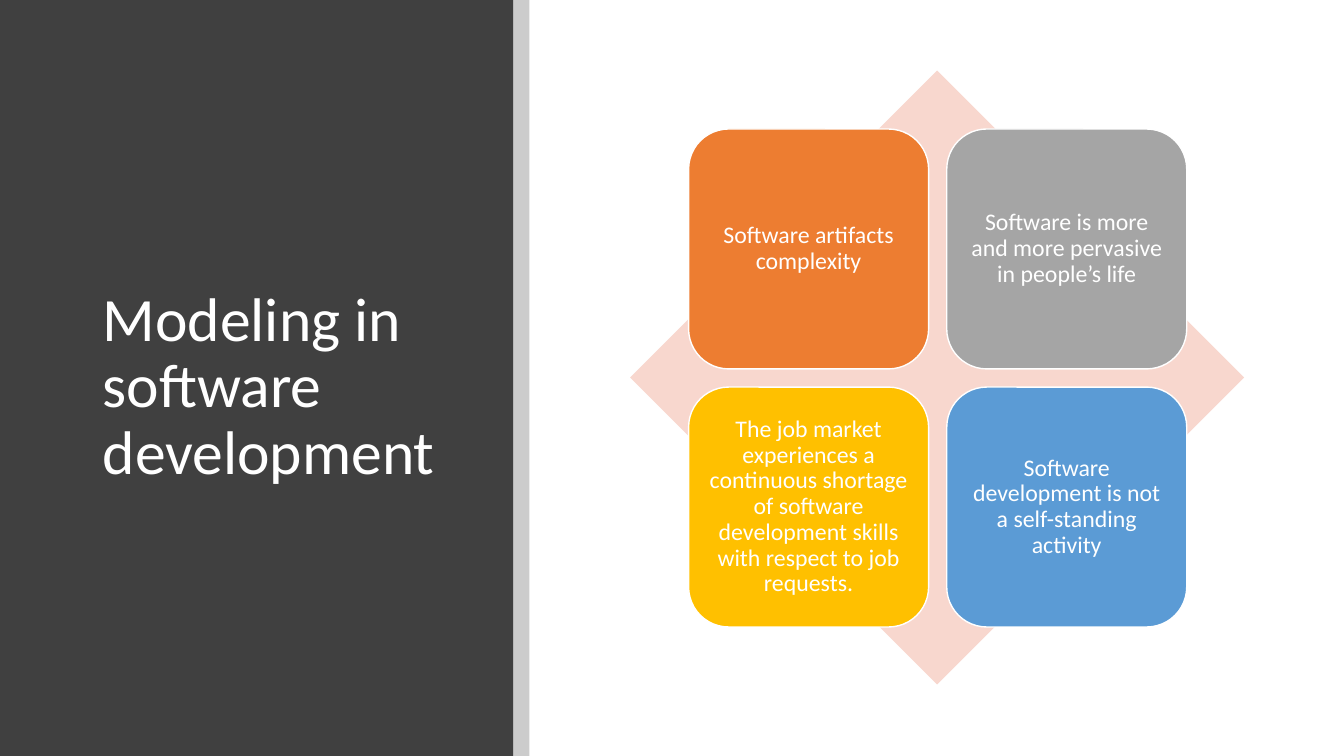
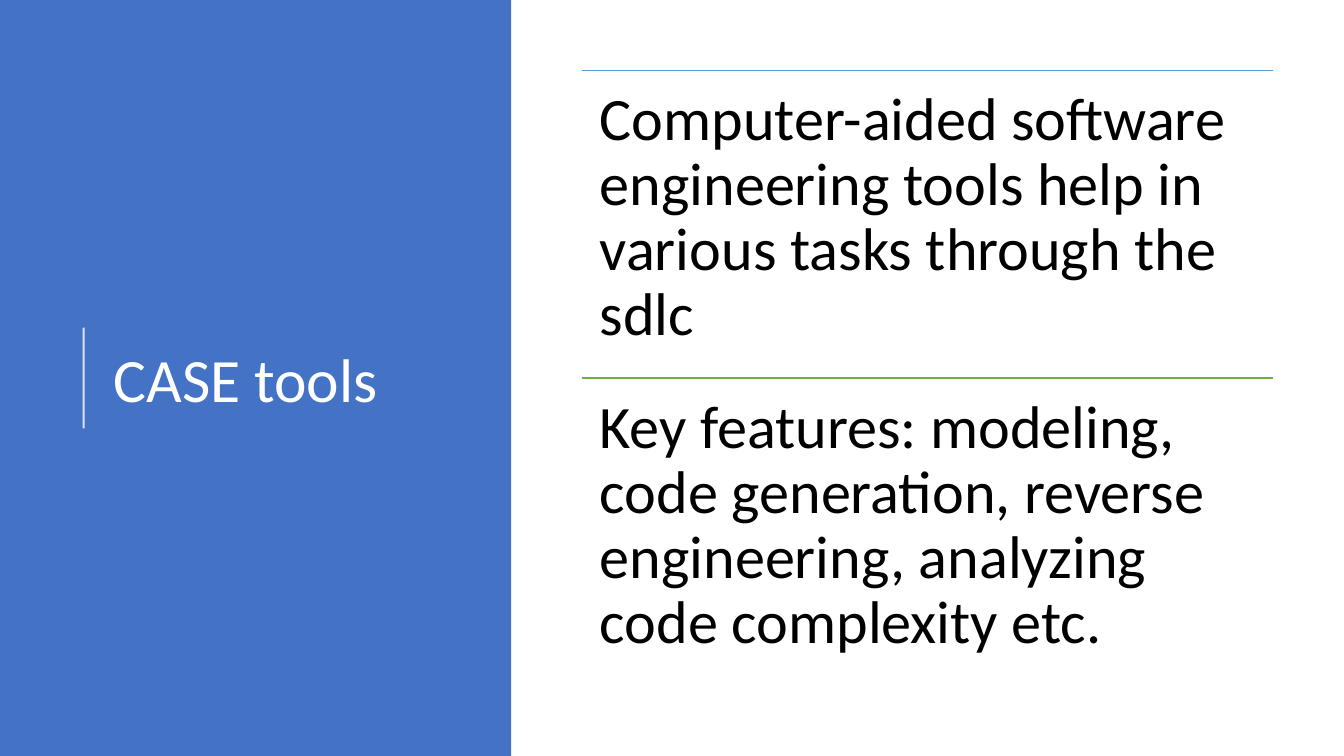
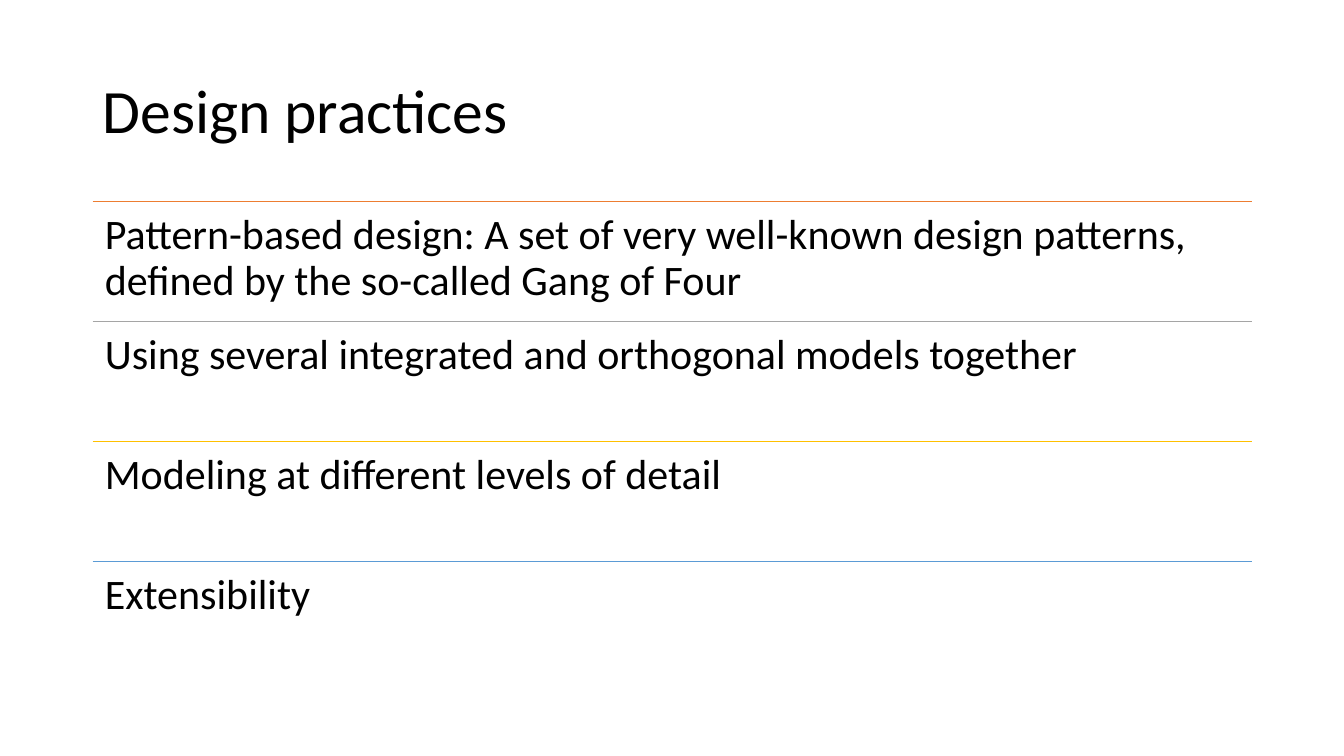
from pptx import Presentation
from pptx.dml.color import RGBColor
from pptx.enum.shapes import MSO_CONNECTOR, MSO_SHAPE
from pptx.enum.text import MSO_ANCHOR as ANCHOR, PP_ALIGN as ALIGN
from pptx.oxml.ns import qn
from pptx.oxml.xmlchemy import OxmlElement
from pptx.util import Pt

PX = 9144
WIDTH, HEIGHT = 1333, 750
FONT = "Calibri"
TITLE_SIZE = 44

WHITE = RGBColor(0xFF, 0xFF, 0xFF)
BLACK = RGBColor(0x00, 0x00, 0x00)
CHARCOAL = RGBColor(0x40, 0x40, 0x40)
PEACH = RGBColor(0xF8, 0xD7, 0xCE)
ORANGE = RGBColor(0xED, 0x7D, 0x31)
GRAY = RGBColor(0xA5, 0xA5, 0xA5)
GOLD = RGBColor(0xFF, 0xC0, 0x00)
SKY = RGBColor(0x5B, 0x9B, 0xD5)
GREEN = RGBColor(0x70, 0xAD, 0x47)
BLUE = RGBColor(0x44, 0x72, 0xC4)


def write_text(shape, text, size, color, inset, anchor=ANCHOR.TOP, align=ALIGN.LEFT):
    frame = shape.text_frame
    horizontal, vertical = inset
    frame_format = {
        "word_wrap": True,
        "vertical_anchor": anchor,
        "margin_left": horizontal * PX,
        "margin_right": horizontal * PX,
        "margin_top": vertical * PX,
        "margin_bottom": vertical * PX,
    }
    for name, value in frame_format.items():
        setattr(frame, name, value)
    paragraph = frame.paragraphs[0]
    paragraph.text = text
    paragraph.alignment = align
    paragraph.line_spacing = 0.9
    for name, value in {"name": FONT, "size": Pt(size)}.items():
        setattr(paragraph.font, name, value)
    paragraph.font.color.rgb = color


def draw_line(slide, start, end, color, width=1):
    points = [value * PX for value in (*start, *end)]
    line = slide.shapes.add_connector(MSO_CONNECTOR.STRAIGHT, *points)
    line.line.color.rgb = color
    line.line.width = Pt(width)
    line.element.spPr.append(OxmlElement("a:effectLst"))
    return line


presentation = Presentation()
presentation.slide_width = WIDTH * PX
presentation.slide_height = HEIGHT * PX
blank = presentation.slide_layouts[6]
modeling, tools, practices = [presentation.slides.add_slide(blank) for _ in range(3)]

panels = []
for slide, kind, box, color in (
    (modeling, MSO_SHAPE.RECTANGLE, (0, 0, 509, HEIGHT), CHARCOAL),
    (modeling, MSO_SHAPE.RECTANGLE, (509, 0, 16, HEIGHT), BLACK),
    (modeling, MSO_SHAPE.DIAMOND, (625, 70, 609, 609), PEACH),
    (tools, MSO_SHAPE.RECTANGLE, (0, 0, 507, HEIGHT), BLUE),
):
    panel = slide.shapes.add_shape(kind, *[value * PX for value in box])
    panel.shadow.inherit = False
    panel.fill.solid()
    panel.fill.fore_color.rgb = color
    panel.line.fill.background()
    panels.append(panel)
divider = panels[1]

for slide, text, box, color in (
    (modeling, "Modeling in software development", (92, 89, 365, 591), WHITE),
    (tools, "CASE tools", (103, 78, 369, 602), WHITE),
    (practices, "Design practices", (92, 40, 1150, 145), BLACK),
):
    title = slide.shapes.add_textbox(*[value * PX for value in box])
    write_text(title, text, TITLE_SIZE, color, (10, 5), ANCHOR.MIDDLE)

CARD_LEFT, CARD_TOP, CARD_SIDE, CARD_STEP = 683, 128, 238, 256
cards = (
    ("Software artifacts complexity", ORANGE),
    ("Software is more and more pervasive in people’s life", GRAY),
    (
        "The job market experiences a continuous shortage of software "
        "development skills with respect to job requests.",
        GOLD,
    ),
    ("Software development is not a self-standing activity", SKY),
)
for index, (text, color) in enumerate(cards):
    row, column = divmod(index, 2)
    card = modeling.shapes.add_shape(
        MSO_SHAPE.ROUNDED_RECTANGLE,
        (CARD_LEFT + column * CARD_STEP) * PX,
        (CARD_TOP + row * CARD_STEP) * PX,
        CARD_SIDE * PX,
        CARD_SIDE * PX,
    )
    card.shadow.inherit = False
    card.fill.solid()
    card.fill.fore_color.rgb = color
    card.line.color.rgb = WHITE
    card.line.width = Pt(1)
    write_text(card, text, 17, WHITE, (7, 7), ANCHOR.MIDDLE, ALIGN.CENTER)

accent = draw_line(tools, (83, 425), (83, 325), WHITE, 1.5)

for shape, opacity in ((divider, 20), (accent, 80)):
    alpha = OxmlElement("a:alpha")
    alpha.set("val", str(opacity * 1000))
    next(shape.element.spPr.iter(qn("a:srgbClr"))).append(alpha)

tool_rows = (
    ("Computer-aided software engineering tools help in various tasks through the sdlc", SKY),
    (
        "Key features: modeling, code generation, reverse engineering, "
        "analyzing code complexity etc.",
        GREEN,
    ),
)
practice_rows = (
    (
        "Pattern-based design: A set of very well-known design patterns, "
        "defined by the so-called Gang of Four",
        ORANGE,
    ),
    ("Using several integrated and orthogonal models together", GRAY),
    ("Modeling at different levels of detail", GOLD),
    ("Extensibility", SKY),
)
for slide, rows, left, top, width, step, size, inset in (
    (tools, tool_rows, 577, 70, 686, 305, 43, 18),
    (practices, practice_rows, 92, 200, 1150, 119, 30, 12),
):
    for index, (text, color) in enumerate(rows):
        y = top + index * step
        draw_line(slide, (left, y), (left + width, y), color)
        entry = slide.shapes.add_textbox(left * PX, y * PX, width * PX, step * PX)
        write_text(entry, text, size, BLACK, (inset, inset))

presentation.save("out.pptx")
